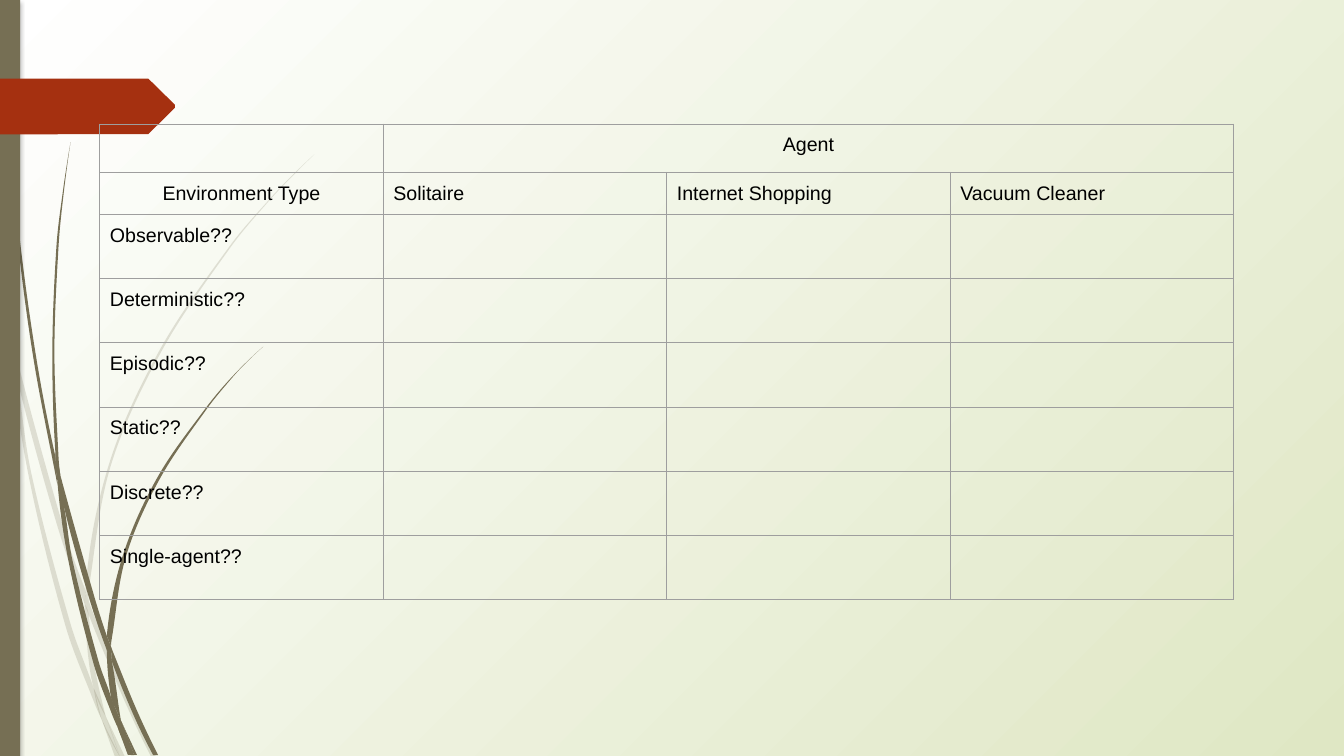
from math import dist

from lxml import etree
from pptx import Presentation
from pptx import util as u
from pptx.dml.color import RGBColor
from pptx.enum import shapes, text
from pptx.oxml import ns

WHITE = RGBColor(0xFF, 0xFF, 0xFF)
PALE_GREEN = RGBColor(0xDF, 0xE7, 0xC4)
OLIVE = RGBColor(0x76, 0x6F, 0x54)
RUST = RGBColor(0xA5, 0x30, 0x10)
BLACK = RGBColor(0, 0, 0)
GRID = RGBColor(0x9E, 0x9E, 0x9E)

# Content
SPAN_HEADING = "Agent"
HEADINGS = ["Environment Type", "Solitaire", "Internet Shopping", "Vacuum Cleaner"]
PROPERTIES = ["Observable??", "Deterministic??", "Episodic??",
              "Static??", "Discrete??", "Single-agent??"]
TABLE_LEFT, TABLE_TOP, COLUMN_WIDTH = 71.3, 88.6, 202.5
ROW_HEIGHTS = [34.4, 30.2] + [45.85] * len(PROPERTIES)
CELL_FORMAT = {"margin_left": u.Pt(7.2), "margin_right": u.Pt(7.2),
               "margin_top": u.Pt(7.2), "margin_bottom": u.Pt(7.2)}
FONT_FORMAT = {"name": "Arial", "size": u.Pt(14), "bold": False}

# Each grass piece is a closed outline made of smooth edges, in points
FAINT_GRASS = [
    [[(7.9, 252), (5.8, 231.8), (0, 203)], [(0, 215.3), (7.2, 247.7)]],
    [[(10.1, 248.4), (44.6, 374.4), (61.2, 421.9)],
     [(60.5, 431.3), (41, 375.8), (12.2, 270.7)]],
    [[(63.4, 429.1), (66.2, 437), (91.4, 497.5), (111.6, 540.7)],
     [(108, 540.7), (88.6, 499.7), (63.4, 439.2)]],
    [[(75.6, 511.9), (89.3, 540.7)], [(85.7, 540.7), (75.6, 511.9)]],
    [[(7.9, 252), (12.2, 270.7), (22.3, 337.7), (50.4, 445.7), (67, 491.8),
      (71.3, 509), (72.7, 514.1)],
     [(72.7, 514.1), (66.2, 499), (46.8, 447.1), (20.2, 338.4), (7.9, 252)]],
    [[(60.5, 431.3), (63.4, 439.2), (65.5, 465.1), (75.6, 511.9)],
     [(75.6, 511.9), (67, 491.8), (62.6, 465.1), (60.5, 431.3)]],
    [[(63.4, 429.1), (63.4, 420.5), (79.2, 332.6), (115.2, 251.3), (164.9, 176.4),
      (193, 142.6), (208.8, 126), (224.6, 110.2)],
     [(224.6, 110.2), (208.1, 126), (193, 141.8), (164.2, 175.7), (113.8, 250.6),
      (77.8, 331.9), (61.2, 420.5)]],
    [[(72.7, 514.1), (82.1, 540.7)], [(85.7, 540.7), (72.7, 514.1)]],
    [[(61.2, 421.9), (63.4, 429.1)], [(63.4, 439.2), (60.5, 431.3)]],
    [[(67, 491.8), (72.7, 514.1), (85.7, 540.7)],
     [(85.7, 540.7), (75.6, 511.9), (67, 491.8)]],
]
DARK_GRASS = [
    [[(2.2, 0), (2.9, 34.6), (5, 79.2), (12.2, 167.8), (23.8, 255.6),
      (40.3, 342.7), (41, 346.3)],
     [(39.6, 326.2), (25.9, 255.6), (13.7, 167), (5.8, 78.5), (3.6, 34.6), (2.9, 0)]],
    [[(43.2, 339.8), (67, 424.8), (76.3, 454.3)],
     [(76.3, 464.4), (63.4, 426.2), (46.1, 363.6), (43.2, 339.8)]],
    [[(79.2, 461.5), (81.4, 467.3), (97.9, 507.6), (113, 539.3)],
     [(109.4, 539.3), (95, 509.8), (79.9, 472.3)]],
    [[(41, 343.4), (46.1, 363.6), (51.8, 400.3), (70.6, 473), (79.2, 497.5),
      (83.5, 516.2), (84.2, 519.8)],
     [(84.2, 519.8), (79.9, 509.8), (67, 474.5), (49, 401), (41, 343.4)]],
    [[(43.2, 339.8), (41.8, 326.2), (38.9, 251.3), (41.8, 176.4), (45.4, 139),
      (50.4, 101.5)],
     [(50.4, 101.5), (44.6, 139), (40.3, 176.4), (37.4, 251.3), (39.6, 323.3),
      (43.2, 339.1)]],
    [[(87.8, 517.7), (97.9, 539.3)], [(95.8, 539.3), (87.8, 517.7)]],
    [[(39.6, 323.3), (43.2, 339.8), (46.1, 363.6)],
     [(46.1, 363.6), (41, 343.4), (39.6, 326.2)]],
    [[(79.2, 461.5), (79.9, 455.8), (90, 397.4), (113.8, 342.7), (147.6, 292.3),
      (166.3, 269.3), (176.4, 258.5), (187.9, 247.7)],
     [(187.9, 247.7), (166.3, 268.6), (146.9, 291.6), (112.3, 341.3), (87.8, 396.7),
      (76.3, 454.3)]],
    [[(84.2, 519.8), (94.3, 539.3)], [(91.4, 539.3), (84.2, 519.8)]],
    [[(76.3, 464.4), (79.9, 472.3), (86.4, 514.8), (87.8, 517.7)],
     [(87.8, 517.7), (83.5, 508.3), (79.2, 497.5), (76.3, 464.4)]],
    [[(76.3, 454.3), (79.2, 461.5)], [(79.9, 472.3), (76.3, 464.4)]],
    [[(79.2, 497.5), (84.2, 519.8), (93.6, 539.3)],
     [(95.8, 539.3), (87.8, 517.7), (83.5, 508.3), (79.2, 497.5)]],
]
TAG = [[(0, 56.2), (106, 56.2)], [(125, 74.9), (125, 77)], [(106, 95.8), (0, 96)]]
FINENESS = 100  # outline units per point


def handles(edge):
    """The two Bezier handles of each segment of an edge."""
    tangents = []
    for before, after in zip(edge, edge[2:]):
        tangents.append([(b - a) / dist(before, after) for a, b in zip(before, after)])
    if not tangents:
        return [None]
    for near, far, place in ((0, 1, 0), (-2, -1, len(edge))):
        chord = [(b - a) / dist(edge[near], edge[far]) for a, b in zip(edge[near], edge[far])]
        inner = tangents[0 if near == 0 else -1]
        tangents.insert(place, [2 * c - t for c, t in zip(chord, inner)])
    pairs = []
    for start, end, leave, arrive in zip(edge, edge[1:], tangents, tangents[1:]):
        reach = dist(start, end) / 3
        pairs.append(([a + reach * t for a, t in zip(start, leave)],
                      [b - reach * t for b, t in zip(end, arrive)]))
    return pairs


def paint(shape, color, opacity=100):
    shape.shadow.inherit = False
    shape.fill.solid()
    shape.fill.fore_color.rgb = color
    shape.line.fill.background()
    if opacity < 100:
        srgb = shape.fill._xPr.find(".//" + ns.qn("a:srgbClr"))
        etree.SubElement(srgb, ns.qn("a:alpha"), val=str(opacity * 1000))


def add_outline(slide, edges, color, opacity=100):
    anchors = [(x * FINENESS, y * FINENESS) for edge in edges for x, y in edge]
    builder = slide.shapes.build_freeform(*anchors[0], scale=u.Pt(1) / FINENESS)
    builder.add_line_segments(anchors[1:], close=True)
    shape = builder.convert_to_shape()
    paint(shape, color, opacity)

    # Bend the segments inside each edge; the joins between edges stay straight
    origin = [min(values) for values in zip(*anchors)]
    bends = [pair for edge in edges for pair in [None] + handles(edge)][1:]
    for segment, pair in zip(list(shape._element.iter(ns.qn("a:lnTo"))), bends):
        if pair:
            curve = etree.Element(ns.qn("a:cubicBezTo"))
            for handle in pair:
                x, y = (round(v * FINENESS - o) for v, o in zip(handle, origin))
                etree.SubElement(curve, ns.qn("a:pt"), x=str(x), y=str(y))
            segment.getparent().replace(segment, curve)
            curve.append(segment[0])


def border_cell(cell):
    properties = cell._tc.get_or_add_tcPr()
    for position, side in enumerate(("lnL", "lnR", "lnT", "lnB")):
        line = etree.Element(ns.qn("a:" + side), w=str(u.Pt(0.75)))
        fill = etree.SubElement(line, ns.qn("a:solidFill"))
        etree.SubElement(fill, ns.qn("a:srgbClr"), val=str(GRID))
        properties.insert(position, line)


def write_cell(cell, label, centred=False):
    paragraph = cell.text_frame.paragraphs[0]
    if centred:
        paragraph.alignment = text.PP_ALIGN.CENTER
    run = paragraph.add_run()
    run.text = label
    run.font.color.rgb = BLACK
    for target, values in ((cell, CELL_FORMAT), (run.font, FONT_FORMAT)):
        for key, value in values.items():
            setattr(target, key, value)


def add_environment_table(slide):
    table = slide.shapes.add_table(
        len(ROW_HEIGHTS), len(HEADINGS), u.Pt(TABLE_LEFT), u.Pt(TABLE_TOP),
        u.Pt(COLUMN_WIDTH * len(HEADINGS)), u.Pt(sum(ROW_HEIGHTS))).table
    table.first_row = table.horz_banding = False
    for column in table.columns:
        column.width = u.Pt(COLUMN_WIDTH)
    for row, height in zip(table.rows, ROW_HEIGHTS):
        row.height = u.Pt(height)
    for cell in table.iter_cells():
        cell.fill.background()
        border_cell(cell)
    table.cell(0, 1).merge(table.cell(0, len(HEADINGS) - 1))
    write_cell(table.cell(0, 1), SPAN_HEADING, True)
    for column, heading in enumerate(HEADINGS):
        write_cell(table.cell(1, column), heading, column == 0)
    for row, name in enumerate(PROPERTIES, start=2):
        write_cell(table.cell(row, 0), name)


def main():
    deck = Presentation()
    deck.slide_width, deck.slide_height = u.Pt(960), u.Pt(540)
    slide = deck.slides.add_slide(deck.slide_layouts[6])

    # Background glow from the top left corner
    backdrop = slide.background.fill
    backdrop.gradient()
    for stop, color, position in zip(backdrop.gradient_stops, (WHITE, PALE_GREEN), (0, 1)):
        stop.color.rgb = color
        stop.position = position
    gradient = slide.element.find(".//" + ns.qn("a:gradFill"))
    glow = etree.Element(ns.qn("a:path"), {"path": "circle"})
    etree.SubElement(glow, ns.qn("a:fillToRect"), r="100000", b="100000")
    gradient.replace(gradient.find(ns.qn("a:lin")), glow)

    # Grass
    for blades, opacity in ((FAINT_GRASS, 20), (DARK_GRASS, 100)):
        for blade in blades:
            add_outline(slide, blade, OLIVE, opacity)

    # Side bar with soft shadow, and tag
    bar = slide.shapes.add_shape(shapes.MSO_SHAPE.RECTANGLE, 0, 0, u.Pt(14.4), u.Pt(540))
    paint(bar, OLIVE)
    effects = bar._element.spPr.find(ns.qn("a:effectLst"))
    shadow = etree.SubElement(effects, ns.qn("a:outerShdw"), blurRad=str(u.Pt(3)),
                              dist=str(u.Pt(2)), dir="5400000")
    shade = etree.SubElement(shadow, ns.qn("a:srgbClr"), val=str(BLACK))
    etree.SubElement(shade, ns.qn("a:alpha"), val="25000")
    add_outline(slide, TAG, RUST)

    add_environment_table(slide)
    deck.save("out.pptx")


if __name__ == "__main__":
    main()
